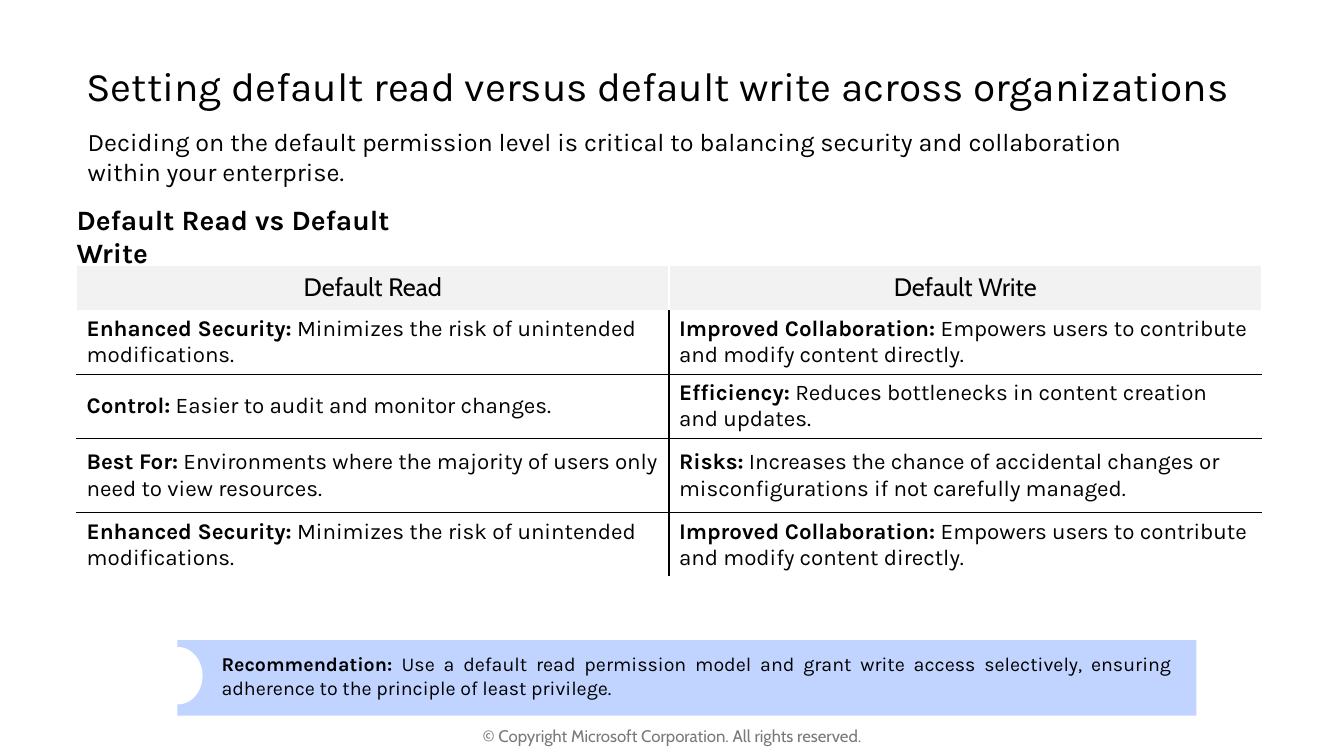
from lxml import etree
from pptx import Presentation
from pptx.dml.color import RGBColor
from pptx.enum.shapes import MSO_SHAPE
from pptx.enum.text import MSO_ANCHOR, PP_ALIGN
from pptx.oxml.ns import qn
from pptx.util import Pt

RECT, OVAL = MSO_SHAPE.RECTANGLE, MSO_SHAPE.OVAL
TOP, MIDDLE, BOTTOM = MSO_ANCHOR.TOP, MSO_ANCHOR.MIDDLE, MSO_ANCHOR.BOTTOM
LEFT, CENTER, JUSTIFY = PP_ALIGN.LEFT, PP_ALIGN.CENTER, PP_ALIGN.JUSTIFY

COLORS = {
    "text": "000000",
    "muted": "797979",
    "white": "FFFFFF",
    "header": "F2F2F2",
    "callout": "C1D4FF",
}
BODY, ACCENT = "Karla", "Cabin"

HEADERS = ["Default Read", "Default Write"]
SECURITY = ("Enhanced Security:", " Minimizes the risk of unintended modifications.")
COLLABORATION = (
    "Improved Collaboration:",
    " Empowers users to contribute and modify content directly.",
)
ROWS = [
    [SECURITY, COLLABORATION],
    [
        ("Control:", " Easier to audit and monitor changes."),
        ("Efficiency:", " Reduces bottlenecks in content creation and updates."),
    ],
    [
        ("Best For:", " Environments where the majority of users only need to view resources."),
        (
            "Risks:",
            " Increases the chance of accidental changes or misconfigurations if not carefully managed.",
        ),
    ],
    [SECURITY, COLLABORATION],
]
ROW_HEIGHTS = [32.4, 43.2, 43.2, 53.3, 43.2]


class SlideBuilder:
    def __init__(self, slide):
        self.s = slide

    def color(self, name):
        return RGBColor.from_string(COLORS[name])

    def add_runs(self, tf, runs, size, font=BODY, color="text", align=LEFT):
        p = tf.paragraphs[0]
        p.alignment = align
        for text, bold in runs:
            r = p.add_run()
            r.text = text
            r.font.name = font
            r.font.size = Pt(size)
            r.font.bold = bold
            r.font.color.rgb = self.color(color)
        return p

    def text(self, box, runs, size, anchor=MIDDLE, inset=True, **style):
        tf = self.s.shapes.add_textbox(*map(Pt, box)).text_frame
        tf.word_wrap = True
        tf.vertical_anchor = anchor
        if not inset:
            tf.margin_left = tf.margin_right = tf.margin_top = tf.margin_bottom = 0
        return self.add_runs(tf, runs, size, **style)

    def shape(self, kind, box, fill):
        sp = self.s.shapes.add_shape(kind, *map(Pt, box))
        sp.shadow.inherit = False
        sp.fill.solid()
        sp.fill.fore_color.rgb = self.color(fill)
        sp.line.fill.background()

    def border(self, cell, side, color):
        tc_pr = cell._tc.get_or_add_tcPr()
        ln = etree.SubElement(tc_pr, qn("a:ln" + side), w=str(Pt(1)))
        fill = etree.SubElement(ln, qn("a:solidFill"))
        etree.SubElement(fill, qn("a:srgbClr"), val=COLORS[color])

    def cell(self, cell, fill, black_sides):
        for side in "LRTB":
            self.border(cell, side, "text" if side in black_sides else "white")
        cell.fill.solid()
        cell.fill.fore_color.rgb = self.color(fill)
        cell.vertical_anchor = MIDDLE

    def table(self, box, headers, rows, heights):
        count = len(rows) + 1
        table = self.s.shapes.add_table(count, len(headers), *map(Pt, box)).table
        for row, height in zip(table.rows, heights):
            row.height = Pt(height)
        for col, header in enumerate(headers):
            cell = table.cell(0, col)
            self.cell(cell, "header", "")
            self.add_runs(cell.text_frame, [(header, False)], 18, font=ACCENT, align=CENTER)
            inner = "R" if col == 0 else "L"
            for i, row in enumerate(rows, 1):
                cell = table.cell(i, col)
                sides = inner + ("T" if i > 1 else "") + ("B" if i < count - 1 else "")
                self.cell(cell, "white", sides)
                label, detail = row[col]
                self.add_runs(cell.text_frame, [(label, True), (detail, False)], 16)


def main():
    prs = Presentation()
    prs.slide_width, prs.slide_height = Pt(960), Pt(540)
    b = SlideBuilder(prs.slides.add_slide(prs.slide_layouts[6]))

    title = b.text(
        (54.7, 57.6, 882.7, 24.5),
        [("Setting default read versus default write across organizations", False)],
        29,
        anchor=BOTTOM,
    )
    title.line_spacing = 0.9
    b.text(
        (62.6, 92.2, 789.8, 38.9),
        [(
            "Deciding on the default permission level is critical to balancing "
            "security and collaboration within your enterprise.",
            False,
        )],
        18,
        inset=False,
    )
    b.text(
        (318.2, 511.2, 324, 28.8),
        [("© Copyright Microsoft Corporation. All rights reserved.", False)],
        12,
        font=ACCENT,
        color="muted",
        align=CENTER,
    )
    b.table((54.7, 189.4, 846.4, sum(ROW_HEIGHTS)), HEADERS, ROWS, ROW_HEIGHTS)
    b.text(
        (54.7, 149, 263.5, 38.9),
        [("Default Read vs Default Write", True)],
        20,
        inset=False,
    )

    b.shape(RECT, (126.7, 457.2, 727.9, 54), "callout")
    advice = b.text(
        (151.2, 462.2, 693.4, 41),
        [
            ("Recommendation: ", True),
            (
                "Use a default read permission model and grant write access selectively, "
                "ensuring adherence to the principle of least privilege.",
                False,
            ),
        ],
        14,
        anchor=TOP,
        align=JUSTIFY,
    )
    advice.space_after = Pt(12)
    b.shape(OVAL, (109.4, 462.2, 35.3, 41), "white")

    prs.save("out.pptx")


if __name__ == "__main__":
    main()
